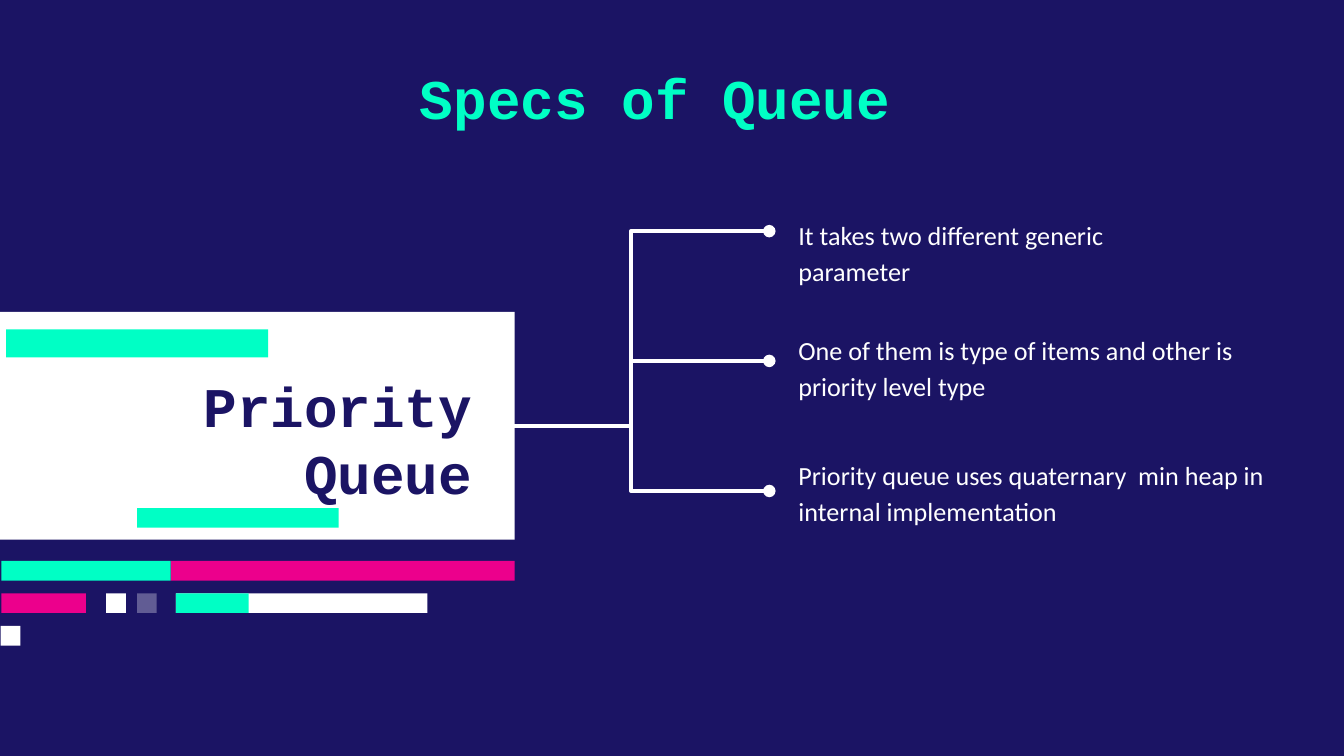
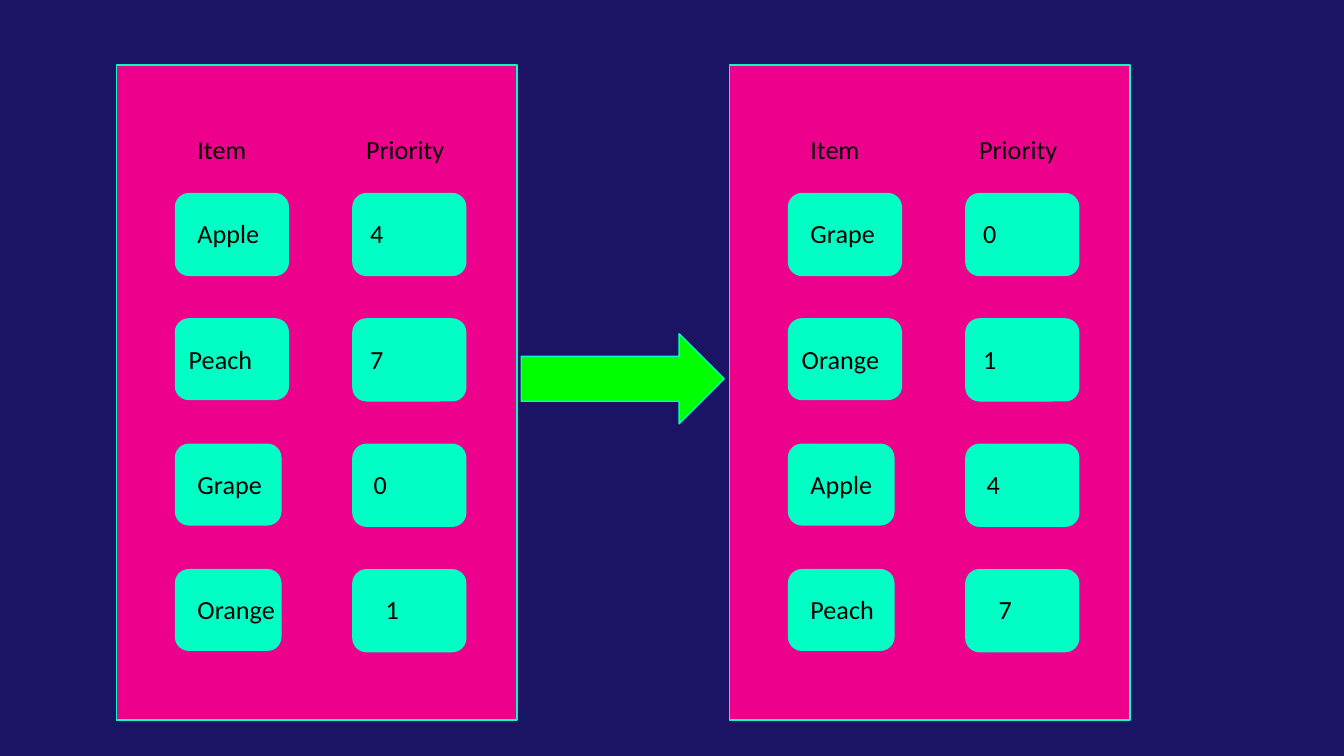
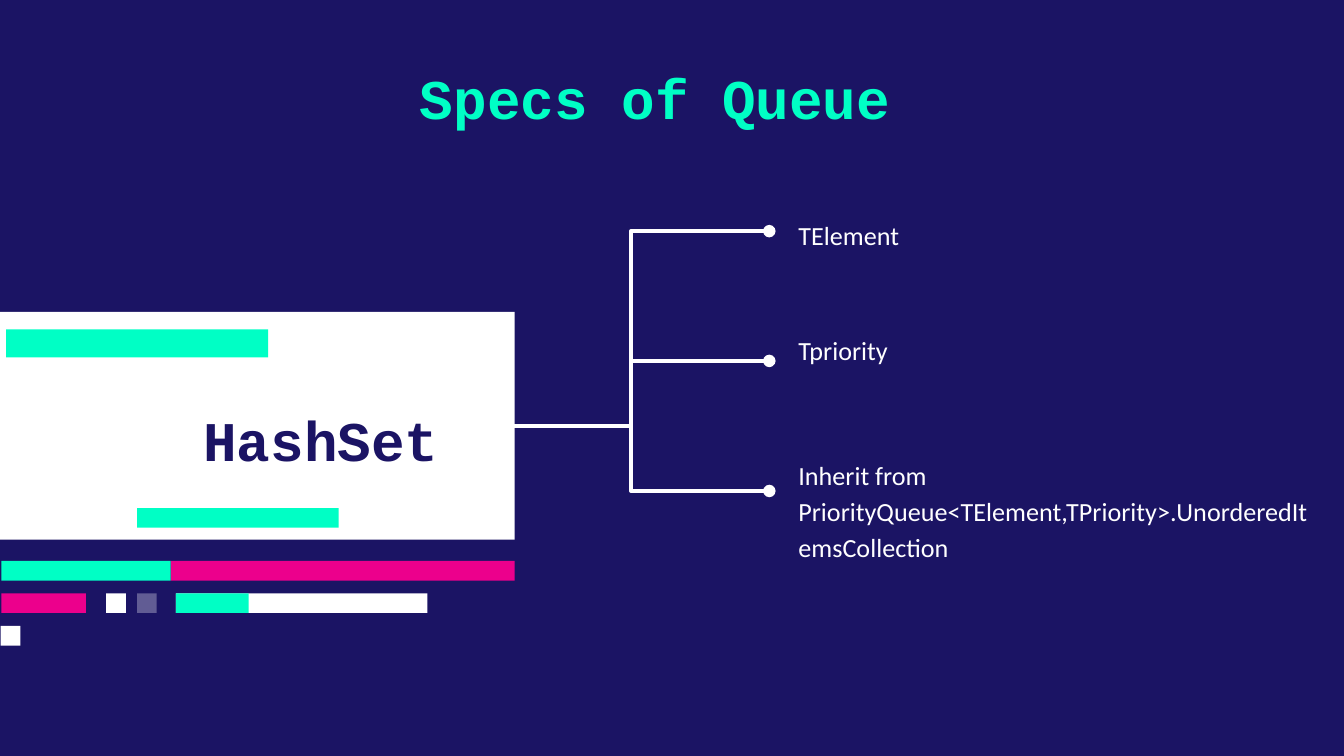
from dataclasses import dataclass

from lxml import etree
from pptx import Presentation
from pptx.dml.color import RGBColor
from pptx.enum.shapes import MSO_CONNECTOR, MSO_SHAPE
from pptx.enum.text import MSO_ANCHOR, MSO_AUTO_SIZE, PP_ALIGN
from pptx.oxml.ns import qn
from pptx.util import Inches, Pt

RECTANGLE, ROUNDED = MSO_SHAPE.RECTANGLE, MSO_SHAPE.ROUNDED_RECTANGLE
RIGHT_ARROW = MSO_SHAPE.RIGHT_ARROW
ELBOW = MSO_CONNECTOR.ELBOW
TOP, MIDDLE = MSO_ANCHOR.TOP, MSO_ANCHOR.MIDDLE
LEFT, CENTER, RIGHT = PP_ALIGN.LEFT, PP_ALIGN.CENTER, PP_ALIGN.RIGHT
NO_FIT, GROW = MSO_AUTO_SIZE.NONE, MSO_AUTO_SIZE.SHAPE_TO_FIT_TEXT
COMPARISON, BLANK = 4, 6  # layouts of the default template


@dataclass(frozen=True)
class Theme:
    navy: str = "1B1464"
    mint: str = "00FFC5"
    pink: str = "EC008C"
    green: str = "00FF00"
    white: str = "FFFFFF"
    black: str = "000000"
    heading_font: str = "Courier New"
    body_font: str = "Calibri"
    heading_size: int = 30
    body_size: int = 14
    outline: float = 0.75
    branch: float = 2.25


THEME = Theme()

# The slide is a grid of 100 columns by 56.25 rows, each a tenth of an inch
COLUMNS, ROWS = 100, 56.25

# Decoration: column, row, width, height, colour, opacity in percent
BAR = 1.46
BARS = [
    (0.45, 24.5, 19.5, 2.1, THEME.mint, 100),
    (12.7, 41.74, 25.6, BAR, THEME.pink, 100),
    (0.1, 41.74, 12.6, BAR, THEME.mint, 100),
    (13.1, 44.15, 18.7, BAR, THEME.white, 100),
    (13.1, 44.15, 5.4, BAR, THEME.mint, 100),
    (0.1, 44.15, 6.3, BAR, THEME.pink, 100),
    (10.2, 44.15, BAR, BAR, THEME.white, 31),
    (7.9, 44.15, BAR, BAR, THEME.white, 100),
    (0.05, 46.58, BAR, BAR, THEME.white, 100),
    (10.2, 37.8, 15, BAR, THEME.mint, 100),
]
POINT_AREAS = [(58.4, 16, 29.5, 3), (58.4, 24.54, 40.6, 3), (58.4, 33.8, 40.6, 8.5)]
BRANCH_START = (36.7, 31.7)
BRANCH_COLUMN, BRANCH_ROWS = 57.24, (17.2, 26.86, 36.53)

# Queue panels: offsets are columns from the panel's left edge
PANEL_TOP, PANEL_WIDTH, PANEL_HEIGHT = 4.84, 29.8, 48.75
FIRST_TILE, FIRST_LABEL, PITCH = 14.4, 15.2, 9.33
ITEM_TILE, PRIORITY_TILE = 4.4, 17.6
ITEM_SIZES = [(8.4, 6.1), (8.4, 6), (7.84, 6), (7.84, 6)]
PRIORITY_SIZE = (8.4, 6.1)
ITEM_LABELS = (5.05, 4.4, 5.05, 5.05)
PRIORITY_LABELS = (17.9, 17.9, 18.15, 19.05)


def cells(*counts):
    return [Inches(count / 10) for count in counts]


def color(code):
    return RGBColor.from_string(code)


def add_block(slide, area, fill, kind=RECTANGLE, outline=None, opacity=100):
    block = slide.shapes.add_shape(kind, *cells(*area))
    block.shadow.inherit = False
    block.fill.solid()
    block.fill.fore_color.rgb = color(fill)
    if opacity < 100:
        tint = block.element.spPr.find(".//" + qn("a:srgbClr"))
        etree.SubElement(tint, qn("a:alpha"), val=str(opacity * 1000))
    if outline:
        block.line.color.rgb = color(outline)
        block.line.width = Pt(THEME.outline)
    else:
        block.line.fill.background()
    return block


def write(box, text, font, size, ink, bold=False, align=LEFT, anchor=TOP,
          inset=1, fit=NO_FIT):
    frame = box.text_frame
    frame.text = text
    frame.word_wrap = True
    frame.auto_size = fit
    frame.vertical_anchor = anchor
    frame.margin_left, frame.margin_right = cells(1, 1)
    frame.margin_top, frame.margin_bottom = cells(inset, inset)
    para = frame.paragraphs[0]
    para.alignment = align
    span = para.runs[0].font
    span.name, span.size, span.bold = font, Pt(size), bold
    span.color.rgb = color(ink)
    return para


def fill_placeholder(holder, area, text, *style, **options):
    """Move a template placeholder and set its text without a bullet."""
    holder.left, holder.top, holder.width, holder.height = cells(*area)
    para = write(holder, text, *style, **options)
    para.space_before = Pt(0)
    properties = para._p.get_or_add_pPr()
    properties.set("marL", "0")
    properties.set("indent", "0")
    etree.SubElement(properties, qn("a:buNone"))
    return para


def add_branch(slide, row):
    """Elbow line from the card to a point, ending in a dot."""
    branch = slide.shapes.add_connector(
        ELBOW, *cells(*BRANCH_START, BRANCH_COLUMN, row))
    branch.line.color.rgb = color(THEME.white)
    branch.line.width = Pt(THEME.branch)
    outline = branch.element.spPr.find(qn("a:ln"))
    etree.SubElement(outline, qn("a:tailEnd"), type="oval")
    etree.SubElement(branch.element.spPr, qn("a:effectLst"))


def add_label(slide, area, text):
    box = slide.shapes.add_textbox(*cells(*area))
    write(box, text, THEME.body_font, THEME.body_size, THEME.black, fit=GROW)


def add_specs_slide(deck, subject, points):
    slide = deck.slides.add_slide(deck.slide_layouts[COMPARISON])
    title, heading, *bodies = slide.placeholders
    headline = (THEME.heading_font, THEME.heading_size)

    # Card stays behind the placeholders
    card = add_block(slide, (0, 23.2, 38.3, 16.95), THEME.white)
    title.element.addprevious(card.element)

    fill_placeholder(title, (14, 3.75, 72, 7.3), "Specs of Queue ", *headline,
                     THEME.mint, bold=True, align=CENTER)
    fill_placeholder(heading, (9.54, 26.95, 26.6, 11.4), subject, *headline,
                     THEME.navy, bold=True, align=RIGHT, anchor=MIDDLE, inset=0)
    for body, area, point in zip(bodies, POINT_AREAS, points):
        para = fill_placeholder(body, area, point, THEME.body_font,
                                THEME.body_size, THEME.white, inset=0)
        para.line_spacing = 1.15

    for *area, fill, opacity in BARS:
        add_block(slide, area, fill, opacity=opacity)
    for row in BRANCH_ROWS:
        add_branch(slide, row)


def add_queue_panel(slide, left, entries):
    add_block(slide, (left, PANEL_TOP, PANEL_WIDTH, PANEL_HEIGHT), THEME.pink,
              outline=THEME.mint)
    add_label(slide, (left + 5.05, 8.9, 6, 4.4), "Item")
    add_label(slide, (left + PRIORITY_TILE, 8.9, 10.7, 4.4), "Priority")
    for index, (item, priority) in enumerate(entries):
        drop = index * PITCH
        columns = [
            (item, ITEM_TILE, ITEM_SIZES[index], ITEM_LABELS[index]),
            (priority, PRIORITY_TILE, PRIORITY_SIZE, PRIORITY_LABELS[index]),
        ]
        for text, tile_offset, size, label_offset in columns:
            add_block(slide, (left + tile_offset, FIRST_TILE + drop, *size),
                      THEME.mint, ROUNDED, THEME.mint)
            add_label(slide, (left + label_offset, FIRST_LABEL + drop, 7.8, 4.4),
                      text)


def add_sorting_slide(deck):
    slide = deck.slides.add_slide(deck.slide_layouts[BLANK])
    entries = [("Apple", "4"), ("Peach", "7"), ("Grape", "0"), ("Orange", "1")]
    by_priority = sorted(entries, key=lambda entry: int(entry[1]))
    add_queue_panel(slide, 8.66, entries)
    add_queue_panel(slide, 54.27, by_priority)
    add_block(slide, (38.78, 24.84, 15.1, 6.7), THEME.green, RIGHT_ARROW, THEME.mint)


def main():
    deck = Presentation()
    deck.slide_width, deck.slide_height = cells(COLUMNS, ROWS)
    backdrop = deck.slide_master.background.fill
    backdrop.solid()
    backdrop.fore_color.rgb = color(THEME.navy)

    add_specs_slide(deck, "Priority Queue", [
        "It takes two different generic parameter",
        "One of them is type of items and other is priority level type",
        "Priority queue uses quaternary  min heap in internal implementation",
    ])
    add_sorting_slide(deck)
    add_specs_slide(deck, "HashSet ", [
        "TElement",
        "Tpriority",
        "Inherit from PriorityQueue<TElement,TPriority>.UnorderedItemsCollection",
    ])
    deck.save("out.pptx")


if __name__ == "__main__":
    main()
